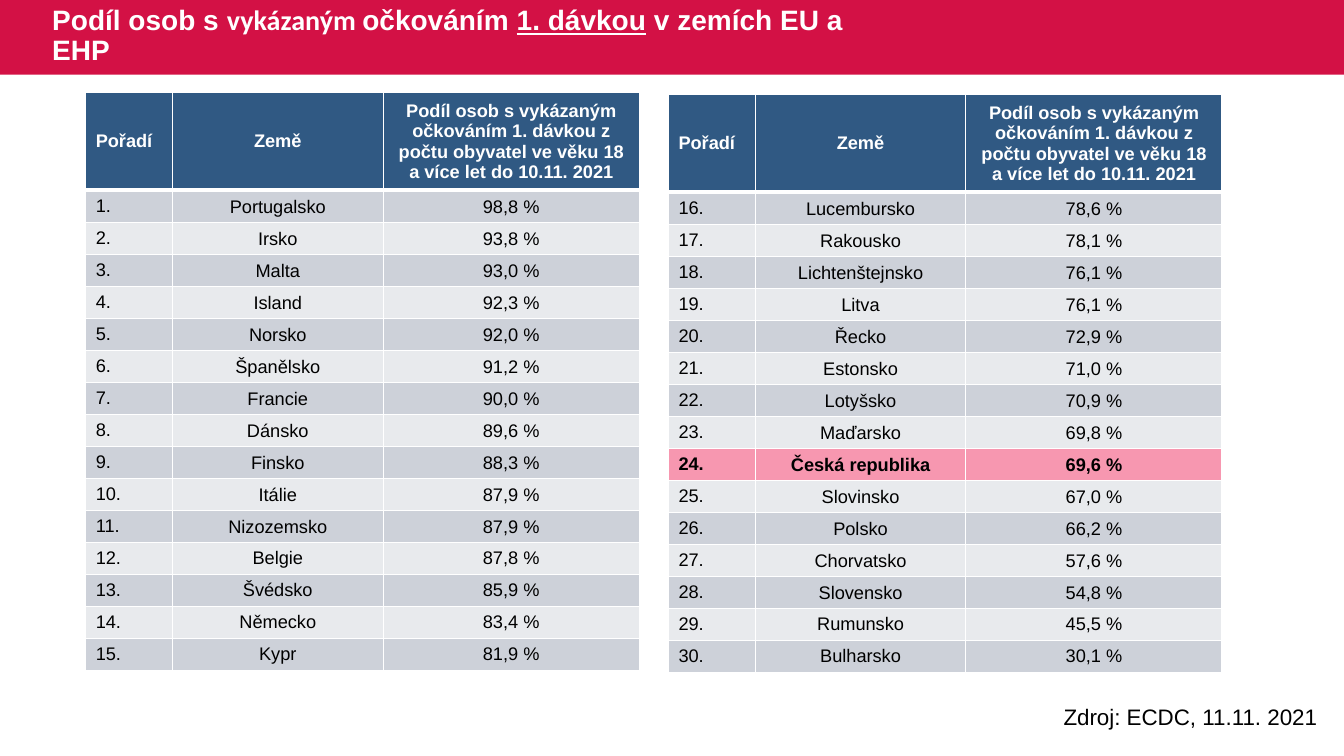
from lxml.etree import SubElement
from pptx import Presentation
from pptx.dml.color import RGBColor
from pptx.enum.shapes import MSO_SHAPE as SHAPE
from pptx.enum.text import MSO_ANCHOR as ANCHOR, PP_ALIGN as ALIGN
from pptx.oxml.ns import qn
from pptx.util import Inches, Pt

COLORS = {
    "banner": "D31145", "header": "305983", "odd": "CDD1D9", "even": "E8EAED",
    "highlight": "F797B0", "white": "FFFFFF", "black": "000000",
}
HEADERS = [
    "Pořadí", "Země",
    "Podíl osob s vykázaným očkováním 1. dávkou z počtu obyvatel ve věku 18 a více let do 10.11. 2021",
]
COUNTRIES = [
    ("Portugalsko", "98,8"), ("Irsko", "93,8"), ("Malta", "93,0"), ("Island", "92,3"),
    ("Norsko", "92,0"), ("Španělsko", "91,2"), ("Francie", "90,0"), ("Dánsko", "89,6"),
    ("Finsko", "88,3"), ("Itálie", "87,9"), ("Nizozemsko", "87,9"), ("Belgie", "87,8"),
    ("Švédsko", "85,9"), ("Německo", "83,4"), ("Kypr", "81,9"),
    ("Lucembursko", "78,6"), ("Rakousko", "78,1"), ("Lichtenštejnsko", "76,1"), ("Litva", "76,1"),
    ("Řecko", "72,9"), ("Estonsko", "71,0"), ("Lotyšsko", "70,9"), ("Maďarsko", "69,8"),
    ("Česká republika", "69,6"), ("Slovinsko", "67,0"), ("Polsko", "66,2"), ("Chorvatsko", "57,6"),
    ("Slovensko", "54,8"), ("Rumunsko", "45,5"), ("Bulharsko", "30,1"),
]
HIGHLIGHTED = "Česká republika"
PER_TABLE = 15
COL_WIDTHS = [0.86, 2.09, 2.54]
HEADER_HEIGHT, ROW_HEIGHT = 0.72, 0.25
CELL_MARGINS = {"margin_left": 0.01, "margin_right": 0.01, "margin_top": 0.01, "margin_bottom": 0}


def rgb(name):
    """Return the named palette colour."""
    return RGBColor.from_string(COLORS[name])


def add_run(p, text, color, **fmt):
    """Append a run in Arial unless the format says otherwise."""
    r = p.add_run()
    r.text = text
    for key, value in {"name": "Arial", **fmt}.items():
        setattr(r.font, key, value)
    r.font.color.rgb = rgb(color)


def set_borders(cell, row):
    """Draw white cell borders, thick between header and body."""
    widths = {"L": 1, "R": 1, "T": 3 if row == 1 else 1, "B": 3 if row == 0 else 1}
    tc_pr = cell._tc.get_or_add_tcPr()
    for side, width in widths.items():
        ln = SubElement(tc_pr, qn(f"a:ln{side}"), w=str(Pt(width)))
        fill = SubElement(ln, qn("a:solidFill"))
        SubElement(fill, qn("a:srgbClr"), val=COLORS["white"])


def add_banner(slide, left, top, width, height):
    """Draw the red banner with the slide title."""
    sp = slide.shapes.add_shape(SHAPE.RECTANGLE, *map(Inches, (left, top, width, height)))
    sp.shadow.inherit = False
    sp.fill.solid()
    sp.fill.fore_color.rgb = rgb("banner")
    sp.line.fill.background()

    title = slide.shapes.add_textbox(*map(Inches, (left + 0.42, top, 8.16, height - 0.01)))
    tf = title.text_frame
    tf.word_wrap = True
    tf.vertical_anchor = ANCHOR.MIDDLE
    p = tf.paragraphs[0]
    p.line_spacing = 0.9
    for text, fmt in [
        ("Podíl osob s ", {}),
        ("vykázaným ", {"name": "Calibri"}),
        ("očkováním ", {}),
        ("1. dávkou", {"underline": True}),
        (" v zemích EU a EHP", {}),
    ]:
        add_run(p, text, "white", size=Pt(20), bold=True, **fmt)


def add_ranking(slide, left, top, first):
    """Place a ranking table starting at the given rank."""
    countries = COUNTRIES[first - 1:first - 1 + PER_TABLE]
    rows = [HEADERS] + [
        [f"{rank}.", name, f"{share} %"] for rank, (name, share) in enumerate(countries, first)
    ]
    height = HEADER_HEIGHT + PER_TABLE * ROW_HEIGHT
    frame = slide.shapes.add_table(
        len(rows), len(HEADERS), *map(Inches, (left, top, sum(COL_WIDTHS), height)))
    table = frame.table
    for col, width in zip(table.columns, COL_WIDTHS):
        col.width = Inches(width)
    for i, values in enumerate(rows):
        is_header, is_marked = i == 0, values[1] == HIGHLIGHTED
        table.rows[i].height = Inches(HEADER_HEIGHT if is_header else ROW_HEIGHT)
        band = "odd" if i % 2 else "even"
        fill = "header" if is_header else "highlight" if is_marked else band
        for j, text in enumerate(values):
            cell = table.cell(i, j)
            set_borders(cell, i)
            cell.fill.solid()
            cell.fill.fore_color.rgb = rgb(fill)
            cell.vertical_anchor = ANCHOR.MIDDLE
            if j and not is_header:
                for key, value in CELL_MARGINS.items():
                    setattr(cell, key, Inches(value))
            p = cell.text_frame.paragraphs[0]
            p.alignment = ALIGN.CENTER if j else ALIGN.LEFT
            add_run(p, text, "white" if is_header else "black",
                    size=Pt(13), bold=is_header or is_marked)


def add_source(slide, left, top, width, height):
    """Place the data source note."""
    tf = slide.shapes.add_textbox(*map(Inches, (left, top, width, height))).text_frame
    tf.word_wrap = True
    add_run(tf.paragraphs[0], "Zdroj: ECDC, 11.11. 2021", "black", size=Pt(16))


def main():
    """Build the slide and save it."""
    prs = Presentation()
    prs.slide_width, prs.slide_height = Inches(13.33), Inches(7.5)
    slide = prs.slides.add_slide(prs.slide_layouts[6])
    add_banner(slide, 0, 0, 13.33, 0.74)
    add_ranking(slide, 0.85, 0.92, 1)
    add_ranking(slide, 6.63, 0.94, 1 + PER_TABLE)
    add_source(slide, 10.45, 6.93, 3.13, 0.37)
    prs.save("out.pptx")


if __name__ == "__main__":
    main()
